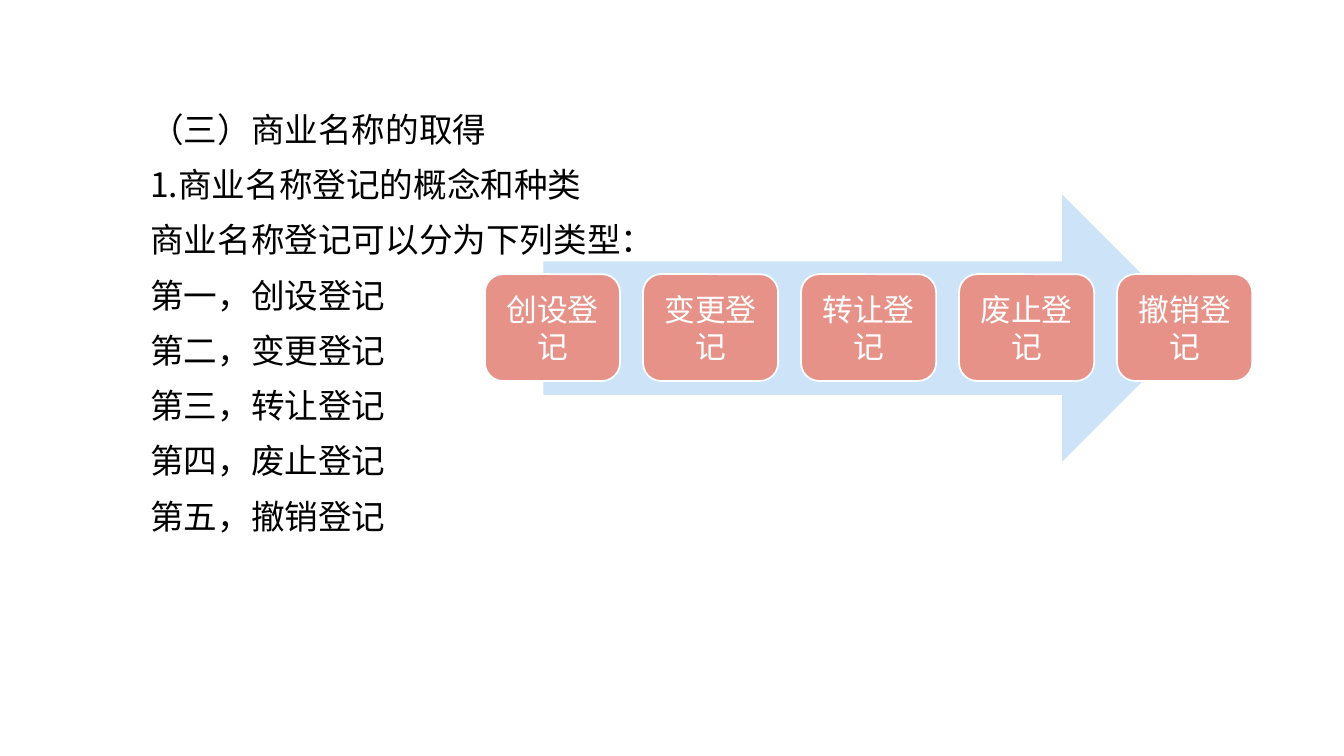
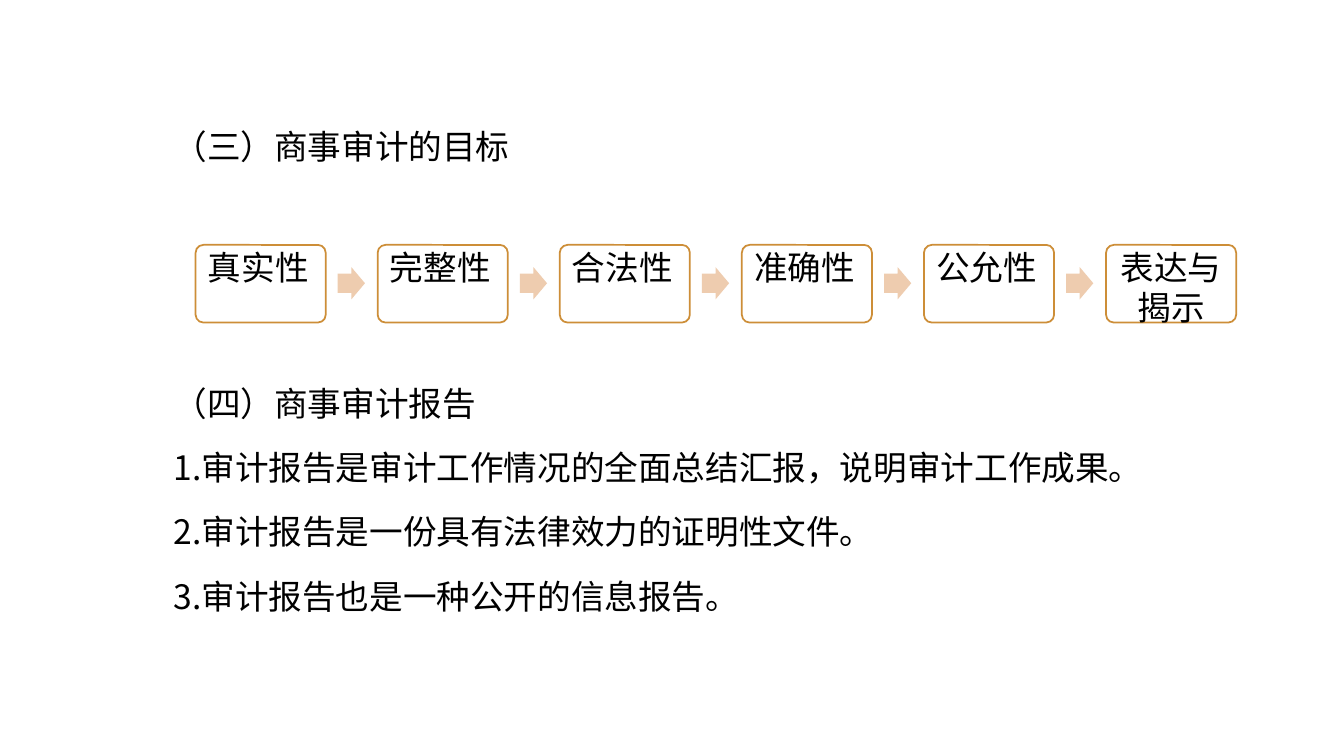
from dataclasses import dataclass
from functools import partial

from lxml import etree
from pptx import Presentation
from pptx import util as u
from pptx.dml.color import RGBColor
from pptx.enum import shapes, text
from pptx.oxml import ns

# Shared look
BLACK = RGBColor(0x00, 0x00, 0x00)
WHITE = RGBColor(0xFF, 0xFF, 0xFF)
PALE_BLUE = RGBColor(0xCD, 0xE3, 0xF8)
CORAL = RGBColor(0xE6, 0x92, 0x89)
OCHRE = RGBColor(0xCD, 0x8E, 0x38)
PEACH = RGBColor(0xEE, 0xCC, 0xAF)
CJK_FONT = "Noto Sans CJK SC"
BOX_FONT = "Calibri"
LINE_RATIO = 1.195
BODY_SIZE = 24


@dataclass(frozen=True)
class Area:
    left: float
    top: float
    width: float
    height: float

    def lengths(self):
        return [u.Inches(n) for n in (self.left, self.top, self.width, self.height)]


@dataclass(frozen=True)
class BoxStyle:
    fill: RGBColor
    line: RGBColor
    color: RGBColor
    size: float
    corner: float
    margin_x: float
    margin_y: float
    anchor: text.MSO_ANCHOR


REGISTRATION_BOX = BoxStyle(CORAL, WHITE, WHITE, 22, 0.17, 0.09, 0.09,
                            text.MSO_ANCHOR.MIDDLE)
GOAL_BOX = BoxStyle(WHITE, OCHRE, BLACK, 24, 0.1, 0.1, 0,
                    text.MSO_ANCHOR.TOP)


def write_para(para, words: str, *, font: str, size: float, color: RGBColor,
               align=text.PP_ALIGN.LEFT, line: float = 1.0,
               before: float = 0, after: float = 0) -> None:
    """Fill one paragraph; line is a multiple of the font's usual line height."""
    para.alignment = align
    para.line_spacing = u.Pt(round(size * LINE_RATIO * line, 1))
    para.space_before = u.Pt(before)
    para.space_after = u.Pt(after)
    span = para.add_run()
    span.text = words
    span.font.name = font
    span.font.size = u.Pt(size)
    span.font.color.rgb = color
    east_asian = etree.SubElement(span.font._element, ns.qn("a:ea"))
    east_asian.set("typeface", CJK_FONT)


write_body = partial(write_para, font=CJK_FONT, size=BODY_SIZE, color=BLACK)


def add_page(deck, area: Area, top_margin: float):
    """Add a slide with only a body placeholder; return the slide and its text."""
    page = deck.slides.add_slide(deck.slide_layouts[1])
    title = page.shapes.title._element
    title.getparent().remove(title)
    body = page.placeholders[1]
    body.left, body.top, body.width, body.height = area.lengths()
    frame = body.text_frame
    frame.word_wrap = True
    frame.auto_size = text.MSO_AUTO_SIZE.NONE
    frame.vertical_anchor = text.MSO_ANCHOR.TOP
    frame.margin_top = u.Inches(top_margin)
    return page, frame


def next_para(frame, index: int):
    """Return an unbulleted paragraph, reusing the frame's first one."""
    para = frame.add_paragraph() if index else frame.paragraphs[0]
    props = para._p.get_or_add_pPr()
    props.set("marL", "0")
    props.set("indent", "0")
    etree.SubElement(props, ns.qn("a:buNone"))
    return para


def add_arrow(page, area: Area, fill: RGBColor, head: tuple[float, float]) -> None:
    arrow = page.shapes.add_shape(shapes.MSO_SHAPE.RIGHT_ARROW, *area.lengths())
    arrow.shadow.inherit = False
    arrow.adjustments[0], arrow.adjustments[1] = head
    arrow.fill.solid()
    arrow.fill.fore_color.rgb = fill
    arrow.line.fill.background()


def add_box(page, area: Area, words: str, style: BoxStyle,
            align=text.PP_ALIGN.CENTER) -> None:
    box = page.shapes.add_shape(shapes.MSO_SHAPE.ROUNDED_RECTANGLE, *area.lengths())
    box.shadow.inherit = False
    box.adjustments[0] = style.corner
    box.fill.solid()
    box.fill.fore_color.rgb = style.fill
    box.line.color.rgb = style.line
    box.line.width = u.Pt(1.25)
    frame = box.text_frame
    frame.word_wrap = True
    frame.vertical_anchor = style.anchor
    frame.margin_left = frame.margin_right = u.Inches(style.margin_x)
    frame.margin_top = frame.margin_bottom = u.Inches(style.margin_y)
    write_para(frame.paragraphs[0], words, font=BOX_FONT, size=style.size,
               color=style.color, align=align)


def build_registration_page(deck) -> None:
    kinds = ["创设登记", "变更登记", "转让登记", "废止登记", "撤销登记"]
    lines = ["（三）商业名称的取得", "1.商业名称登记的概念和种类",
             "商业名称登记可以分为下列类型："]
    lines += [f"第{number}，{kind}" for number, kind in zip("一二三四五", kinds)]
    page, frame = add_page(deck, Area(1.39, 0.71, 8.58, 4.92), 0.37)
    for index, words in enumerate(lines):
        write_body(next_para(frame, index), words,
                   before=4.8 if index else 0, after=6)

    # Boxes in a row over one wide arrow
    add_arrow(page, Area(5.39, 1.93, 6.47, 2.65), PALE_BLUE, (0.5, 0.5))
    first, last = 4.81, 11.08
    step = (last - first) / (len(kinds) - 1)
    for index, kind in enumerate(kinds):
        add_box(page, Area(first + index * step, 2.72, 1.34, 1.06), kind,
                REGISTRATION_BOX)


def build_audit_page(deck) -> None:
    # Space before each line; the second heading leaves room for the goals
    lines = [
        ("（三）商事审计的目标", 0),
        ("（四）商事审计报告", 147.7),
        ("1.审计报告是审计工作情况的全面总结汇报，说明审计工作成果。", 10),
        ("2.审计报告是一份具有法律效力的证明性文件。", 10),
        ("3.审计报告也是一种公开的信息报告。", 10),
    ]
    page, frame = add_page(deck, Area(1.62, 0.53, 10.96, 6.64), 0.62)
    for index, (words, before) in enumerate(lines):
        write_body(next_para(frame, index), words, line=1.25, before=before)

    # Goals joined by small arrows
    goals = ["真实性", "完整性", "合法性", "准确性", "公允性", "表达与揭示"]
    first, last = 1.94, 10.97
    step = (last - first) / (len(goals) - 1)
    for index, goal in enumerate(goals):
        left = first + index * step
        is_last = index == len(goals) - 1
        align = text.PP_ALIGN.CENTER if is_last else text.PP_ALIGN.LEFT
        add_box(page, Area(left, 2.43, 1.29, 0.77), goal, GOAL_BOX, align)
        if not is_last:
            add_arrow(page, Area(left + 1.41, 2.65, 0.27, 0.32), PEACH, (0.6, 0.5))


def main() -> None:
    deck = Presentation()
    deck.slide_width = u.Inches(13.33)
    deck.slide_height = u.Inches(7.5)
    build_registration_page(deck)
    build_audit_page(deck)
    deck.save("out.pptx")


if __name__ == "__main__":
    main()
